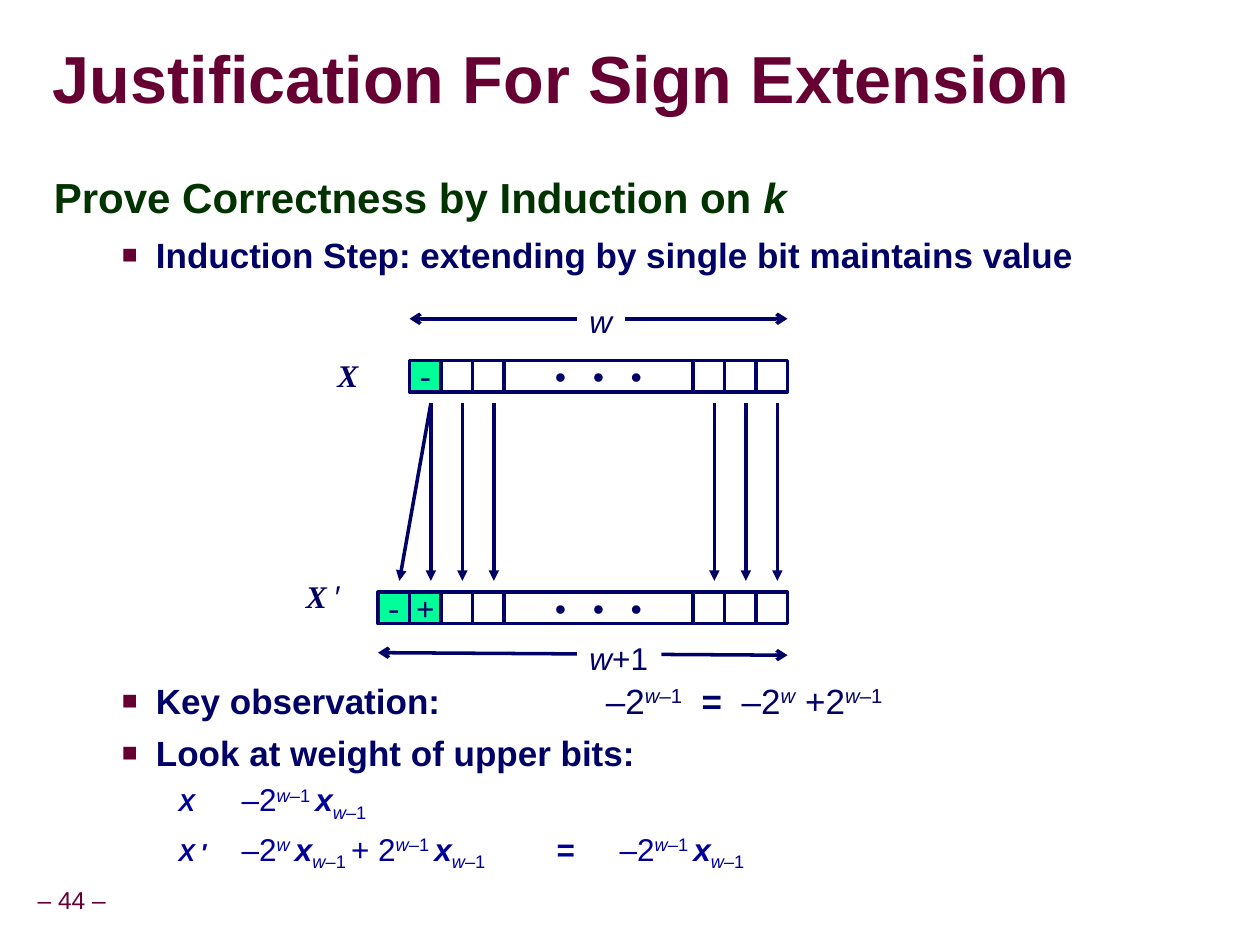
from lxml import etree
from pptx import Presentation
from pptx.dml.color import RGBColor
from pptx.enum.shapes import MSO_CONNECTOR, MSO_SHAPE
from pptx.enum.text import MSO_ANCHOR, PP_ALIGN
from pptx.oxml import parse_xml
from pptx.oxml.ns import qn
from pptx.util import Pt

RECT, STRAIGHT = MSO_SHAPE.RECTANGLE, MSO_CONNECTOR.STRAIGHT
MIDDLE, TOP = MSO_ANCHOR.MIDDLE, MSO_ANCHOR.TOP
LEFT, CENTER = PP_ALIGN.LEFT, PP_ALIGN.CENTER
PX = 9144  # 100 px to the inch
NS = "http://schemas.openxmlformats.org/drawingml/2006/main"
COLORS = {name: RGBColor.from_string(value) for name, value in {
    "maroon": "660033", "green": "003300", "navy": "000066",
    "blue": "000099", "mint": "00FF99", "white": "FFFFFF"}.items()}


def add_runs(p, runs, color, size, font="Arial"):
    """Add (text, style) runs; style letters: b bold, i italic, s small, ^ super, _ sub."""
    for text, style in runs:
        r = p.add_run()
        r.text = text
        fmt = {"name": font, "size": Pt(14 if "s" in style else size),
               "bold": "b" in style, "italic": "i" in style}
        for key, value in fmt.items():
            setattr(r.font, key, value)
        r.font.color.rgb = COLORS[color]
        for mark, baseline in (("^", "30000"), ("_", "-25000")):
            if mark in style:
                r._r.get_or_add_rPr().set("baseline", baseline)


def add_line(start, end, **arrowheads):
    line = s.shapes.add_connector(STRAIGHT, *(v * PX for v in start + end))
    line.line.color.rgb = COLORS["navy"]
    line.line.width = Pt(2)
    ln = line.line._get_or_add_ln()
    for tag, kind in arrowheads.items():
        etree.SubElement(ln, qn(f"a:{tag}"), type=kind)
    etree.SubElement(line._element.spPr, qn("a:effectLst"))


prs = Presentation()
prs.slide_width, prs.slide_height = 1000 * PX, 750 * PX
s = prs.slides.add_slide(prs.slide_layouts[5])

# Title
title = s.shapes.title
title.left, title.top, title.width, title.height = (v * PX for v in (42, 35, 892, 61))
tf = title.text_frame
tf.word_wrap, tf.vertical_anchor = True, MIDDLE
tf.margin_left = tf.margin_right = tf.margin_top = tf.margin_bottom = 0
p = tf.paragraphs[0]
p.alignment, p.line_spacing = LEFT, 0.87
add_runs(p, [("Justification For Sign Extension", "b")], "maroon", 38)
p.runs[0].font.color._xFill.addnext(parse_xml(
    f'<a:effectLst xmlns:a="{NS}"><a:outerShdw blurRad="38100" dist="38100" dir="2700000">'
    '<a:srgbClr val="000000"><a:alpha val="43000"/></a:srgbClr></a:outerShdw></a:effectLst>'))

# Body text: margin and indent in px, then spacing, colour, size and tab stops
LEVELS = {
    "heading": (42, -42, 0.95, 12, "green", 24, []),
    "bullet": (81, -27, 1.0, 6, "navy", 20, [438]),
    "formula": (99, 0, 1.07, 2, "blue", 18, [225, 525, 625]),
}
POWER = [("–2", ""), ("w", "i^"), ("–1", "^")]
SIGN_BIT = [(" ", "^"), ("x", "bi"), ("w", "i_"), ("–1", "_")]
WEIGHT_W = [("–2", ""), ("w", "i^")]
PLUS_POWER = [("w", "i^"), ("–1", "^")]
BODY = [
    ((33, 134, 907, 85), [
        ("heading", [("Prove Correctness by Induction on ", "b"), ("k", "bi")]),
        ("bullet", [("Induction Step: extending by single bit maintains value", "b")]),
    ]),
    ((33, 534, 907, 162), [
        ("bullet", [("Key observation: \t", "b"), *POWER, ("  =  ", "b"),
                    *WEIGHT_W, (" +2", ""), *PLUS_POWER]),
        ("bullet", [("Look at weight of upper bits:", "b")]),
        ("formula", [("X ", "bis"), ("\t", "b"), *POWER, *SIGN_BIT]),
        ("formula", [("X ", "bis"), ("′", "bs"), ("\t", "b"), *WEIGHT_W, *SIGN_BIT,
                     (" ", "_"), ("+ 2", ""), *PLUS_POWER, *SIGN_BIT,
                     (" \t=\t", "b"), *POWER, *SIGN_BIT]),
    ]),
]
for box, paragraphs in BODY:
    tf = s.shapes.add_textbox(*(v * PX for v in box)).text_frame
    tf.word_wrap = True
    for n, (level, runs) in enumerate(paragraphs):
        margin, indent, spacing, before, color, size, tabs = LEVELS[level]
        p = tf.add_paragraph() if n else tf.paragraphs[0]
        p.line_spacing = spacing
        p.space_before = Pt(before if n else 0)
        pPr = p._p.get_or_add_pPr()
        pPr.set("marL", str(margin * PX))
        pPr.set("indent", str(indent * PX))
        if level == "bullet":
            etree.SubElement(etree.SubElement(pPr, qn("a:buClr")), qn("a:srgbClr"),
                             val=str(COLORS["maroon"]))
            etree.SubElement(pPr, qn("a:buSzPct"), val="75000")
            etree.SubElement(pPr, qn("a:buFont"), typeface="Arial")
            etree.SubElement(pPr, qn("a:buChar"), char="■")
        if tabs:
            tab_list = etree.SubElement(pPr, qn("a:tabLst"))
            for tab in tabs:
                etree.SubElement(tab_list, qn("a:tab"), pos=str(tab * PX), algn="l")
        add_runs(p, runs, color, size)

# Bit rows: X above, X ′ with one more sign bit below
CELL, DOTS_LEFT, DOTS_WIDTH = 25, 400, 150
BITS = [325, 350, 375, 550, 575, 600]
for top, bits, signs in ((286, BITS, {325: "-"}),
                         (470, [300] + BITS, {300: "-", 325: "+"})):
    cells = [(x, CELL, signs.get(x, "")) for x in bits]
    for x, width, text in cells + [(DOTS_LEFT, DOTS_WIDTH, "• • •")]:
        sp = s.shapes.add_shape(RECT, x * PX, top * PX, width * PX, CELL * PX)
        sp.shadow.inherit = False
        sp.fill.solid()
        sp.fill.fore_color.rgb = COLORS["mint" if x in signs else "white"]
        sp.line.color.rgb = COLORS["navy"]
        sp.line.width = Pt(2)
        if text:
            tf = sp.text_frame
            tf.word_wrap, tf.vertical_anchor = False, MIDDLE
            tf.paragraphs[0].alignment = CENTER
            add_runs(tf.paragraphs[0], [(text, "")], "navy", 18, "Courier New")

# Each bit is copied down; the sign bit also goes to the new place
for x in BITS:
    add_line((x + 17, 320), (x + 17, 461), tailEnd="triangle")
add_line((342, 320), (317, 461), tailEnd="triangle")

# Word widths
add_line((325, 253), (625, 253), headEnd="arrow", tailEnd="arrow")
add_line((300, 518), (625, 520), headEnd="arrow", tailEnd="arrow")

# Labels: box, runs, font, colour, size, white background
LABELS = [
    ((258, 278, 43, 40), [("X", "bi")], "Times New Roman", False),
    ((233, 453, 49, 40), [("X ", "bi")], "Times New Roman", False),
    ((458, 235, 38, 40), [("w", "i")], "Arial", True),
    ((458, 502, 67, 40), [("w", "i"), ("+1", "")], "Arial", True),
]
for box, runs, font, filled in LABELS:
    sp = s.shapes.add_textbox(*(v * PX for v in box))
    if filled:
        sp.fill.solid()
        sp.fill.fore_color.rgb = COLORS["white"]
    tf = sp.text_frame
    tf.word_wrap, tf.vertical_anchor = False, TOP
    p = tf.paragraphs[0]
    add_runs(p, runs, "navy", 18, font)
    if runs[0][0] == "X ":
        add_runs(p, [("′", "")], "navy", 18)

# Page number
tf = s.shapes.add_textbox(24 * PX, 700 * PX, 66 * PX, 31 * PX).text_frame
tf.word_wrap, tf.vertical_anchor = False, MIDDLE
tf.margin_left = tf.margin_right = 5 * PX
p = tf.paragraphs[0]
p.alignment, p.line_spacing = CENTER, 0.9
add_runs(p, [("– 44 –", "")], "maroon", 14)

prs.save("out.pptx")
